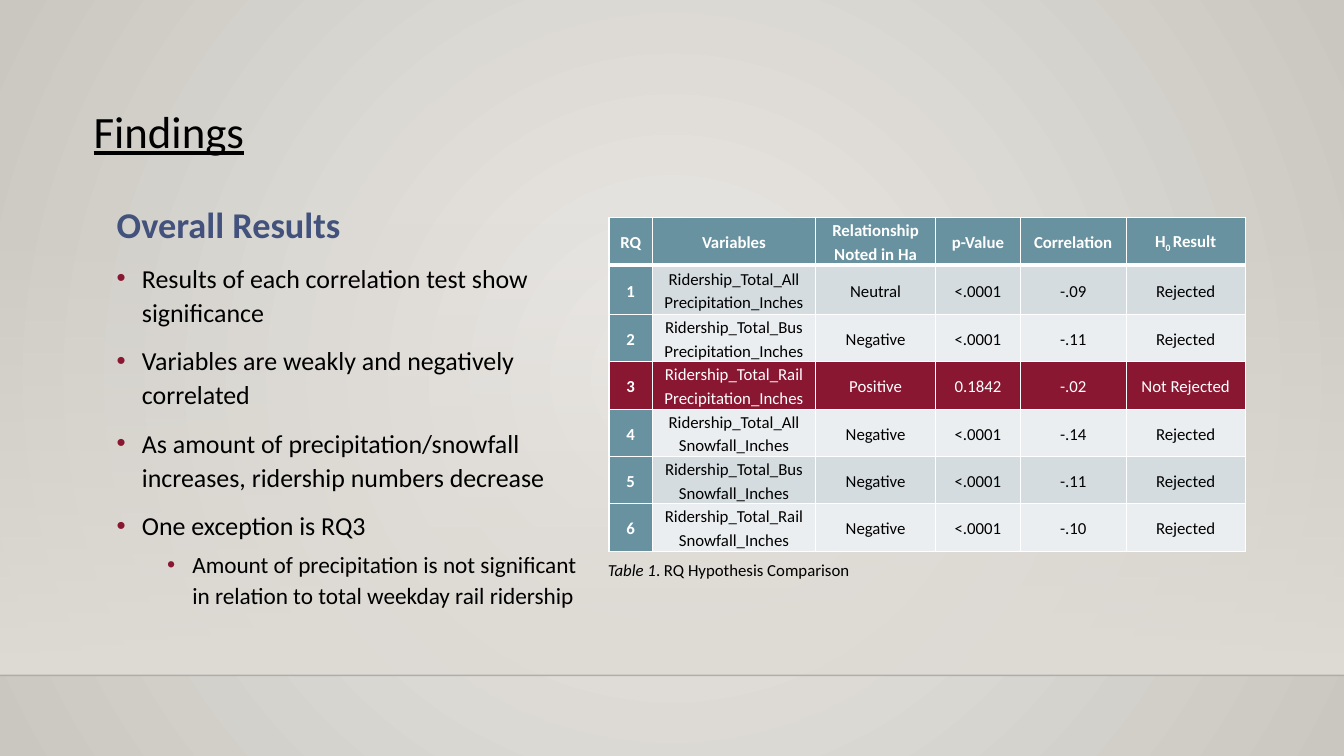
from dataclasses import dataclass

from lxml.etree import SubElement
from pptx import Presentation
from pptx.dml.color import RGBColor
from pptx.enum.shapes import MSO_CONNECTOR, MSO_SHAPE
from pptx.enum.text import MSO_ANCHOR, PP_ALIGN
from pptx.oxml.ns import qn
from pptx.util import Inches, Pt


@dataclass(frozen=True)
class Theme:
    font: str = "Calibri"
    black: str = "000000"
    white: str = "FFFFFF"
    navy: str = "42527C"
    crimson: str = "891731"
    teal: str = "6892A0"
    band_dark: str = "D4DCDF"
    band_light: str = "EBEEF0"
    glow: str = "ECEAE7"
    edge: str = "CAC7C1"
    floor: str = "DFDBD5"
    rule: str = "000001"
    title_size: float = 32
    heading_size: float = 25.9
    bullet_size: float = 18.5
    sub_bullet_size: float = 16.6
    small_size: float = 12


theme = Theme()


def add_text(frame, text, size=theme.small_size, color=theme.black, bold=False,
             underline=False, align=PP_ALIGN.LEFT, spacing=1.0, before=0,
             indent=None, italic_lead="", subscript=""):
    para = frame.add_paragraph() if frame.text else frame.paragraphs[0]
    para.alignment, para.line_spacing, para.space_before = align, spacing, Pt(before)
    if indent:
        properties = para._p.get_or_add_pPr()
        properties.set("marL", str(Inches(indent)))
        properties.set("indent", str(Inches(-0.25)))
        bullet_color = SubElement(properties, qn("a:buClr"))
        SubElement(bullet_color, qn("a:srgbClr"), val=theme.crimson)
        SubElement(properties, qn("a:buFont"), typeface="Arial")
        SubElement(properties, qn("a:buChar"), char="•")
    before_sub, _, after_sub = text.partition(subscript) if subscript else (text, "", "")
    for words, italic, baseline in ((italic_lead, True, 0), (before_sub, False, 0),
                                    (subscript, False, -25000), (after_sub, False, 0)):
        if not words:
            continue
        span = para.add_run()
        span.text = words
        span.font.name, span.font.size = theme.font, Pt(size)
        span.font.bold, span.font.italic, span.font.underline = bold, italic, underline
        span.font.color.rgb = RGBColor.from_string(color)
        if baseline:
            span._r.get_or_add_rPr().set("baseline", str(baseline))


def set_gradient(fill, first, last):
    fill.gradient()
    for stop, color in zip(fill.gradient_stops, (first, last)):
        stop.color.rgb = RGBColor.from_string(color)


deck = Presentation()
deck.slide_width, deck.slide_height = Inches(13.33), Inches(7.5)
page = deck.slides.add_slide(deck.slide_layouts[6])

set_gradient(page.background.fill, theme.glow, theme.edge)
backdrop = next(page.element.iter(qn("a:gradFill")))
backdrop.remove(backdrop.find(qn("a:lin")))
radial = SubElement(backdrop, qn("a:path"), {"path": "circle"})
SubElement(radial, qn("a:fillToRect"), l="50000", t="50000", r="50000", b="50000")

wash = page.shapes.add_shape(MSO_SHAPE.RECTANGLE, 0, Inches(2.21), Inches(13.33), Inches(4.49))
wash.shadow.inherit = False
wash.line.fill.background()
set_gradient(wash.fill, theme.floor, theme.floor)
wash_gradient = next(wash.element.iter(qn("a:gradFill")))
wash_gradient.find(qn("a:lin")).set("ang", "5400000")
SubElement(next(wash_gradient.iter(qn("a:srgbClr"))), qn("a:alpha"), val="0")

floor_line = page.shapes.add_connector(
    MSO_CONNECTOR.STRAIGHT, 0, Inches(6.7), Inches(13.33), Inches(6.7))
floor_line.line.width = Pt(1)
floor_line.line.color.rgb = RGBColor.from_string(theme.rule)
SubElement(next(floor_line.element.iter(qn("a:srgbClr"))), qn("a:alpha"), val="20000")
SubElement(floor_line.element.spPr, qn("a:effectLst"))

frames = []
for left, top, width, height in ((0.83, 1.04, 10.89, 0.67), (1.06, 1.91, 4.87, 4.76),
                                 (5.93, 5.5, 5.64, 0.3)):
    box = page.shapes.add_textbox(Inches(left), Inches(top), Inches(width), Inches(height))
    box.text_frame.word_wrap = True
    frames.append(box.text_frame)
title, findings, caption = frames

add_text(title, "Findings", size=theme.title_size, underline=True, spacing=0.9)
add_text(findings, "Overall Results", size=theme.heading_size, color=theme.navy,
         bold=True, spacing=1.1, before=10)
for finding in (
    "Results of each correlation test show significance",
    "Variables are weakly and negatively correlated",
    "As amount of precipitation/snowfall increases, ridership numbers decrease",
    "One exception is RQ3",
):
    add_text(findings, finding, size=theme.bullet_size, spacing=1.1, before=10, indent=0.25)
add_text(findings,
         "Amount of precipitation is not significant in relation to total weekday rail ridership",
         size=theme.sub_bullet_size, spacing=1.1, before=5, indent=0.75)
add_text(caption, ". RQ Hypothesis Comparison", italic_lead="Table 1")

header = ("RQ", "Variables", "Relationship\nNoted in Ha", "p-Value", "Correlation", "H0 Result")
results = (
    ("All", "Precipitation", "Neutral", "<.0001", "-.09", "Rejected"),
    ("Bus", "Precipitation", "Negative", "<.0001", "-.11", "Rejected"),
    ("Rail", "Precipitation", "Positive", "0.1842", "-.02", "Not Rejected"),
    ("All", "Snowfall", "Negative", "<.0001", "-.14", "Rejected"),
    ("Bus", "Snowfall", "Negative", "<.0001", "-.11", "Rejected"),
    ("Rail", "Snowfall", "Negative", "<.0001", "-.10", "Rejected"),
)
rows = [header] + [
    (str(number), f"Ridership_Total_{mode}\n{weather}_Inches", *values)
    for number, (mode, weather, *values) in enumerate(results, 1)
]
column_widths = (0.43, 1.62, 1.19, 0.84, 1.05, 1.18)
row_heights = (0.47, 0.49) + (0.47,) * 5
table = page.shapes.add_table(
    len(rows), len(header), Inches(6.04), Inches(2.16),
    Inches(sum(column_widths)), Inches(sum(row_heights))).table
table.first_row = table.horz_banding = False
for column, width in zip(table.columns, column_widths):
    column.width = Inches(width)

for row_index, values in enumerate(rows):
    table.rows[row_index].height = Inches(row_heights[row_index])
    for column_index, value in enumerate(values):
        cell = table.cell(row_index, column_index)
        cell.vertical_anchor = MSO_ANCHOR.MIDDLE
        cell.margin_left = cell.margin_right = Inches(0.07)
        cell.margin_top = cell.margin_bottom = 0
        is_heading = row_index == 0 or column_index == 0
        is_exception = row_index == 3
        if is_exception:
            fill_color = theme.crimson
        elif is_heading:
            fill_color = theme.teal
        else:
            fill_color = theme.band_dark if row_index % 2 else theme.band_light
        for side in ("L", "R", "T", "B"):
            under_header = (row_index, side) in ((0, "B"), (1, "T"))
            border = SubElement(cell._tc.get_or_add_tcPr(), qn(f"a:ln{side}"),
                                w=str(Pt(3 if under_header else 1)))
            border_fill = SubElement(border, qn("a:solidFill"))
            SubElement(border_fill, qn("a:srgbClr"), val=theme.white)
        cell.fill.solid()
        cell.fill.fore_color.rgb = RGBColor.from_string(fill_color)
        for text in value.split("\n"):
            add_text(cell.text_frame, text, bold=is_heading, align=PP_ALIGN.CENTER, spacing=1.15,
                     color=theme.white if is_heading or is_exception else theme.black,
                     subscript="0 " if text == "H0 Result" else "")

deck.save("out.pptx")
